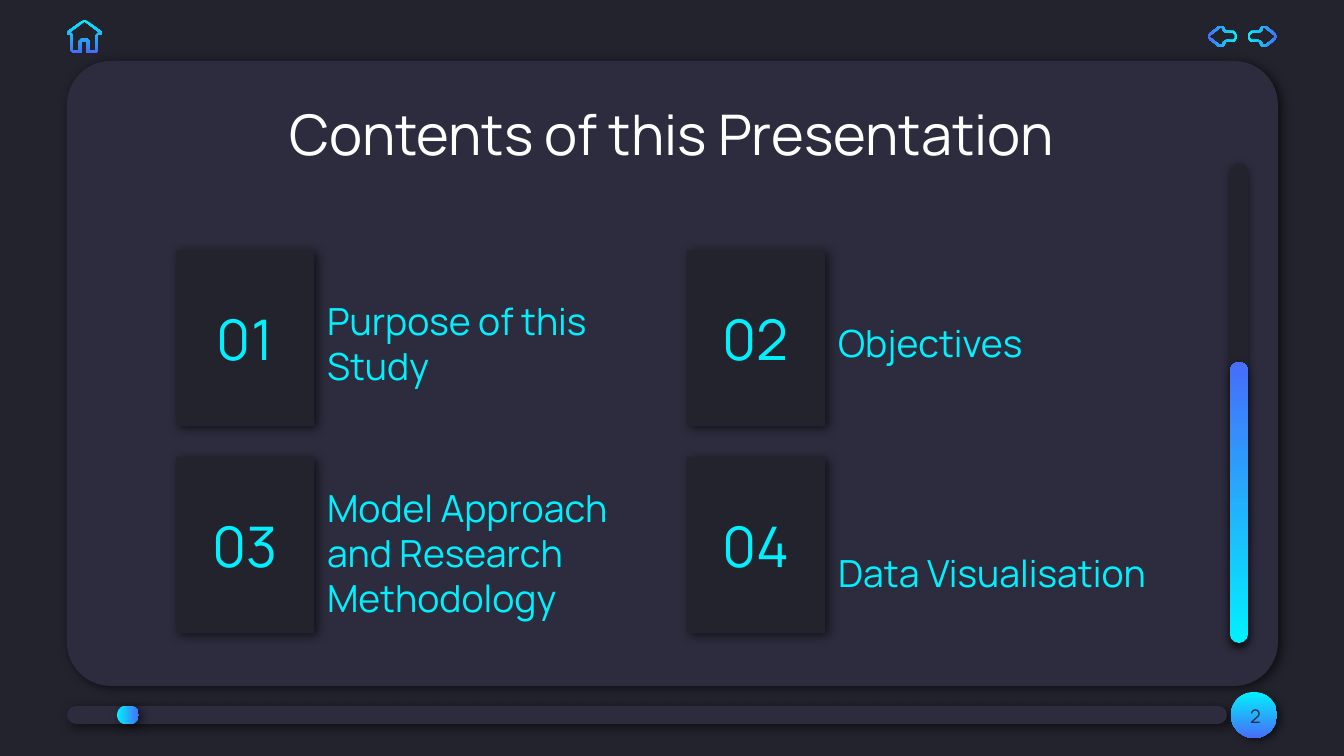
"""Build the contents slide of a dark, neon-accented presentation."""
from lxml.etree import SubElement
from pptx import Presentation
from pptx.dml.color import RGBColor
from pptx.enum.shapes import MSO_SHAPE as SHAPE
from pptx.enum.text import MSO_ANCHOR as ANCHOR, PP_ALIGN as ALIGN
from pptx.oxml.ns import qn
from pptx.util import Pt

SCALE = 9144000 / 1344
NIGHT = RGBColor(0x23, 0x23, 0x2E)
PANEL = RGBColor(0x2C, 0x2C, 0x3E)
CYAN = RGBColor(0x01, 0xF0, 0xFD)
BLUE = RGBColor(0x47, 0x6D, 0xFA)
WHITE = RGBColor(0xFF, 0xFF, 0xFF)
CARD_SHADOW = (60, 5.6, 2.2, 33)
BADGE_SHADOW = (60, 4.5, 2.2, 33)
BAR_SHADOW = (50, 4.5, 1.5, 90)

CARD_W, CARD_H = 138, 176
CARD_X, CARD_Y = 176, 250
STEP_X, STEP_Y = 511, 207
TOPICS = [
    ("01", "Purpose of this Study", 296, 105),
    ("02", "Objectives", 273, 105),
    ("03", "Model Approach and Research Methodology", 457, 176),
    ("04", "Data Visualisation", 503, 105),
]
ARROW_OUTER = [(1208, 36), (1210, 33), (1219, 26), (1223, 26),
               (1225, 29), (1226, 31), (1234, 31), (1237, 34)]
ARROW_INNER = [(1210, 36), (1211, 35), (1220, 28), (1222, 28),
               (1223, 31), (1226, 33), (1233, 33), (1235, 35)]
HOUSE_OUTER = [(84, 20), (82, 21), (68, 31), (67, 33), (68, 35), (71, 35),
               (71, 51), (73, 53), (82, 53), (82, 42)]
HOUSE_INNER = [(84, 22), (69, 33), (71, 33), (73, 35), (73, 51),
               (79, 51), (79, 41), (81, 39)]


def px(value):
    return round(value * SCALE)


def mirror_x(points, total):
    return [(total - x, y) for x, y in points]


def mirror_y(points, total):
    return [(x, total - y) for x, y in points]


class Deck:
    def __init__(self):
        self.prs = Presentation()
        self.prs.slide_width, self.prs.slide_height = px(1344), px(756)
        self.font = "Manrope"
        self.s = None

    def add_slide(self):
        self.s = self.prs.slides.add_slide(self.prs.slide_layouts[6])
        fill = self.s.background.fill
        fill.solid()
        fill.fore_color.rgb = NIGHT

    def paint(self, sp, color=None, angle=0, shadow=None):
        sp.line.fill.background()
        if color is None:
            sp.fill.gradient()
            sp.fill.gradient_angle = (360 - angle) % 360
            for stop, rgb in zip(sp.fill.gradient_stops, (CYAN, BLUE)):
                stop.color.rgb = rgb
        else:
            sp.fill.solid()
            sp.fill.fore_color.rgb = color
        sp.shadow.inherit = False
        if shadow:
            alpha, blur, dist, direction = shadow
            effects = sp._element.spPr.find(qn("a:effectLst"))
            outer = SubElement(effects, qn("a:outerShdw"), blurRad=str(Pt(blur)),
                               dist=str(Pt(dist)), dir=str(direction * 60000),
                               algn="bl", rotWithShape="0")
            clr = SubElement(outer, qn("a:srgbClr"), val="000000")
            SubElement(clr, qn("a:alpha"), val=str(alpha * 1000))

    def shape(self, kind, box, color=None, angle=0, shadow=None, corner=None):
        sp = self.s.shapes.add_shape(kind, *map(px, box))
        if corner is not None:
            sp.adjustments[0] = corner
        self.paint(sp, color, angle, shadow)
        return sp

    def bar(self, box, color=None, angle=0, shadow=BAR_SHADOW):
        self.shape(SHAPE.ROUNDED_RECTANGLE, box, color, angle, shadow, 0.5)

    def icon(self, contours, angle):
        first, *rest = contours
        fb = self.s.shapes.build_freeform(*first[0], scale=SCALE)
        fb.add_line_segments(first[1:])
        for points in rest:
            fb.move_to(*points[0])
            fb.add_line_segments(points[1:])
        self.paint(fb.convert_to_shape(), angle=angle)

    def set_text(self, sp, text, size, color, align, anchor):
        tf = sp.text_frame
        tf.word_wrap = True
        tf.vertical_anchor = anchor
        tf.margin_left = tf.margin_right = px(13)
        tf.margin_top = tf.margin_bottom = px(13)
        p = tf.paragraphs[0]
        p.alignment = align
        r = p.add_run()
        r.text = text
        r.font.name, r.font.size = self.font, Pt(size)
        r.font.color.rgb = color

    def text(self, box, text, size, color, align=ALIGN.LEFT, anchor=ANCHOR.BOTTOM):
        sp = self.s.shapes.add_textbox(*map(px, box))
        self.set_text(sp, text, size, color, align, anchor)

    def card(self, box, number):
        sp = self.shape(SHAPE.RECTANGLE, box, NIGHT, shadow=CARD_SHADOW)
        self.set_text(sp, number, 30, CYAN, ALIGN.CENTER, ANCHOR.MIDDLE)


def main():
    deck = Deck()
    deck.add_slide()
    deck.shape(SHAPE.ROUNDED_RECTANGLE, (67, 61, 1211, 625), PANEL,
               shadow=CARD_SHADOW, corner=0.07)
    deck.bar((67, 706, 1160, 18), PANEL, shadow=CARD_SHADOW)
    deck.shape(SHAPE.OVAL, (1231, 692, 46, 46), angle=90, shadow=BADGE_SHADOW)
    deck.bar((1230, 163, 18, 481), NIGHT)
    deck.bar((1230, 362, 18, 281), angle=270)
    deck.text((1215, 687, 81, 58), "2", 10, PANEL, ALIGN.CENTER, ANCHOR.MIDDLE)

    deck.text((117, 87, 1110, 85), "Contents of this Presentation", 30, WHITE,
              ALIGN.CENTER, ANCHOR.TOP)
    for i, (number, topic, top, height) in enumerate(TOPICS):
        row, col = divmod(i, 2)
        left = CARD_X + col * STEP_X
        deck.card((left, CARD_Y + row * STEP_Y, CARD_W, CARD_H), number)
        deck.text((left + CARD_W, top, 344, height), topic, 20, CYAN)

    back = [half + mirror_y(half[::-1], 73) for half in (ARROW_OUTER, ARROW_INNER)]
    house = [half + mirror_x(half[::-1], 169) for half in (HOUSE_OUTER, HOUSE_INNER)]
    deck.icon(back, 180)
    deck.icon([mirror_x(points, 2485) for points in back], 0)
    deck.bar((117, 706, 22, 18), shadow=CARD_SHADOW)
    deck.icon(house, 90)
    deck.prs.save("out.pptx")


if __name__ == "__main__":
    main()
